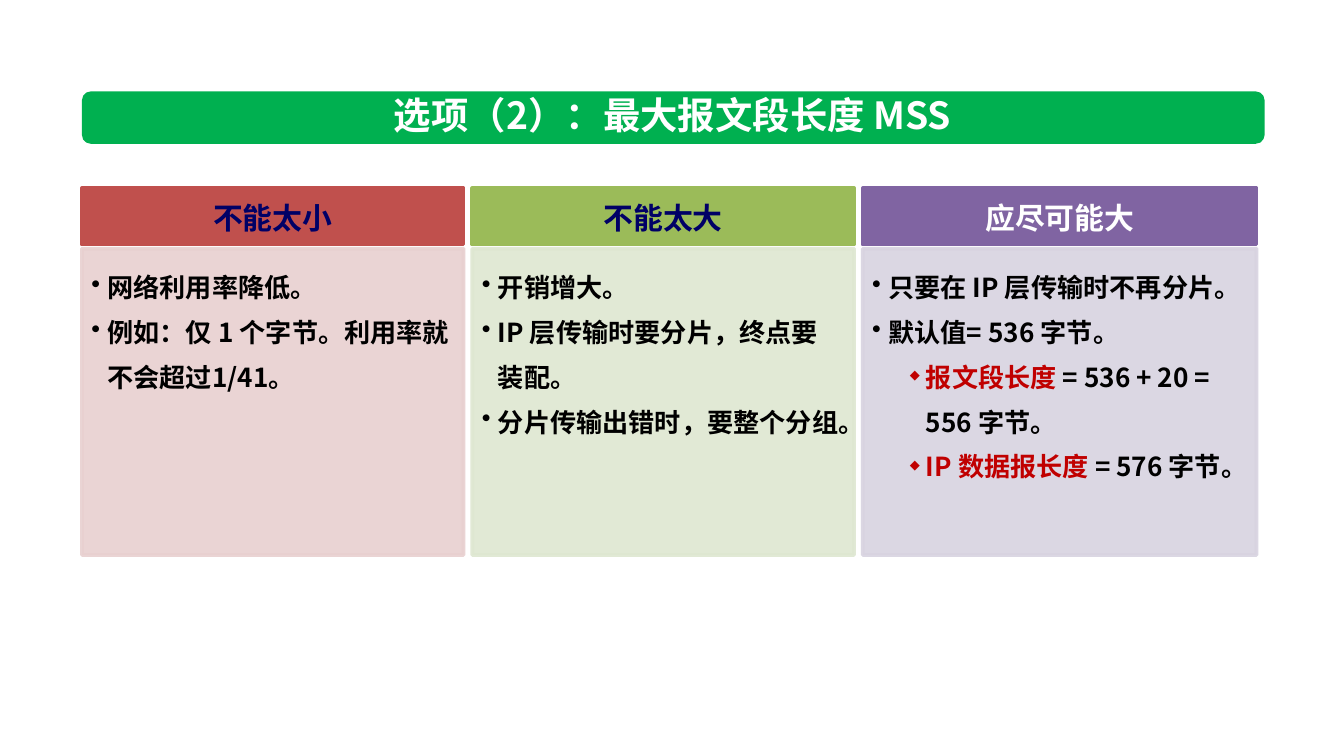
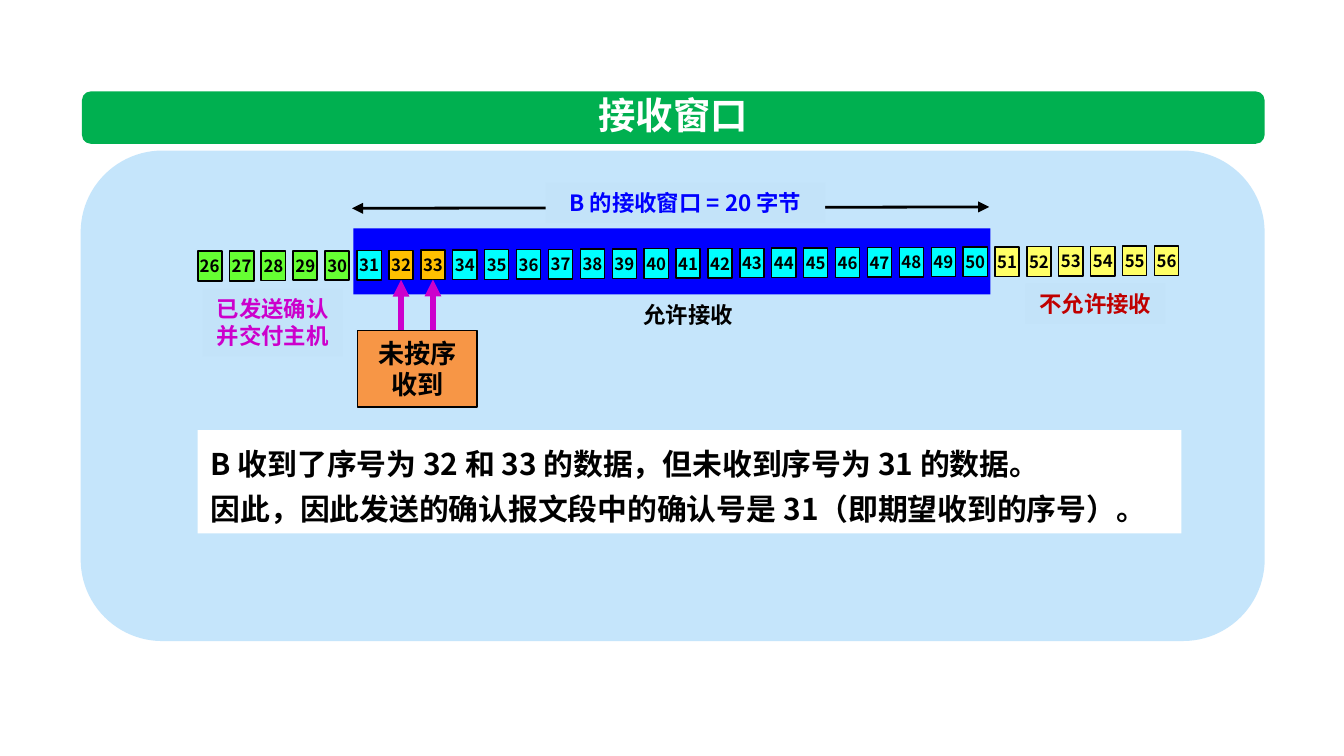
from lxml.etree import SubElement
from pptx import Presentation
from pptx.dml.color import RGBColor
from pptx.enum.shapes import MSO_CONNECTOR, MSO_SHAPE
from pptx.enum.text import MSO_ANCHOR, PP_ALIGN
from pptx.oxml.ns import qn
from pptx.util import Inches, Pt

FONT = "Noto Sans CJK SC"
WHITE = RGBColor(0xFF, 0xFF, 0xFF)
BLACK = RGBColor(0x00, 0x00, 0x00)
TITLE_GREEN = RGBColor(0x00, 0xB0, 0x50)
NAVY = RGBColor(0x00, 0x00, 0x66)
DARK_RED = RGBColor(0xC0, 0x00, 0x00)
BRICK = RGBColor(0xC0, 0x50, 0x4D)
PALE_BRICK = RGBColor(0xE8, 0xD0, 0xD0)
OLIVE = RGBColor(0x9B, 0xBB, 0x59)
PALE_OLIVE = RGBColor(0xDE, 0xE7, 0xD1)
PURPLE = RGBColor(0x80, 0x64, 0xA2)
PALE_PURPLE = RGBColor(0xD8, 0xD3, 0xE0)
SKY = RGBColor(0xC5, 0xE5, 0xFB)
LABEL_SKY = RGBColor(0xC3, 0xE3, 0xF9)
BLUE = RGBColor(0x00, 0x00, 0xFF)
MAGENTA = RGBColor(0xCC, 0x00, 0xCC)
GREEN = RGBColor(0x66, 0xFF, 0x33)
CYAN = RGBColor(0x00, 0xFF, 0xFF)
AMBER = RGBColor(0xFF, 0xC0, 0x00)
YELLOW = RGBColor(0xFF, 0xFF, 0x66)
ORANGE = RGBColor(0xF7, 0x96, 0x46)

deck = Presentation()
deck.slide_width = Inches(10)
deck.slide_height = Inches(5.625)
UNIT = deck.slide_width // 100  # square grid, 100 columns wide


def add_box(slide, frame, fill=None, line=None, line_width=0.75, kind=MSO_SHAPE.RECTANGLE):
    """Add a flat shape; frame is left, top, width, height in grid units."""
    box = slide.shapes.add_shape(kind, *(round(n * UNIT) for n in frame))
    box.shadow.inherit = False
    if fill is None:
        box.fill.background()
    else:
        box.fill.solid()
        box.fill.fore_color.rgb = fill
    if line is None:
        box.line.fill.background()
    else:
        box.line.color.rgb = line
        box.line.width = Pt(line_width)
    return box


def write(box, lines, size, color, align=PP_ALIGN.CENTER, anchor=MSO_ANCHOR.TOP,
          wrap=False, spacing=None):
    """Fill a box with bold lines; a line is a string or a list of (text, color) runs."""
    frame = box.text_frame
    frame.word_wrap = wrap
    frame.vertical_anchor = anchor
    for number, line in enumerate(lines):
        paragraph = frame.paragraphs[0] if number == 0 else frame.add_paragraph()
        paragraph.alignment = align
        if spacing:
            paragraph.line_spacing = Pt(spacing)
        for text, run_color in [(line, color)] if isinstance(line, str) else line:
            run = paragraph.add_run()
            run.text = text
            run.font.size = Pt(size)
            run.font.bold = True
            run.font.name = FONT
            run.font.color.rgb = run_color
            SubElement(run.font._element, qn("a:ea")).set("typeface", FONT)
    return frame


# Both slides, with the panel laid behind the second title band
option_slide, window_slide = (deck.slides.add_slide(deck.slide_layouts[6]) for _ in range(2))
add_box(window_slide, (6, 11.2, 88.1, 36.5), SKY, kind=MSO_SHAPE.ROUNDED_RECTANGLE)
for slide, title, center in [(option_slide, "选项（2）：最大报文段长度 MSS", 50.05),
                             (window_slide, "接收窗口", 50.1)]:
    band = add_box(slide, (6.1, 6.8, 88, 3.9), TITLE_GREEN, kind=MSO_SHAPE.ROUNDED_RECTANGLE)
    band.adjustments[0] = 0.17
    write(add_box(slide, (center - 22.25, 6.4, 44.5, 4.4)), [title], 20, WHITE)

# Slide 1: three columns, each a heading and a list of (level, line)
COLUMN_STEP = 29.05
columns = [
    ("不能太小", NAVY, BRICK, PALE_BRICK, 28.4,
     [(1, "网络利用率降低。"),
      (1, "例如：仅 1 个字节。利用率就不会超过1/41。")]),
    ("不能太大", NAVY, OLIVE, PALE_OLIVE, 28.4,
     [(1, "开销增大。"),
      (1, "IP 层传输时要分片，终点要装配。"),
      (1, "分片传输出错时，要整个分组。")]),
    ("应尽可能大", WHITE, PURPLE, PALE_PURPLE, 29.3,
     [(1, "只要在 IP 层传输时不再分片。"),
      (1, "默认值= 536 字节。"),
      (2, [("报文段长度 ", DARK_RED), ("= 536 + 20 = 556 字节。", BLACK)]),
      (2, [("IP 数据报长度 ", DARK_RED), ("= 576 字节。", BLACK)])]),
]
for index, (heading, heading_color, dark, pale, width, points) in enumerate(columns):
    left = 6.1 + index * COLUMN_STEP
    header = add_box(option_slide, (left, 14, width, 4.2), dark, dark, 2)
    write(header, [heading], 16, heading_color, anchor=MSO_ANCHOR.MIDDLE, wrap=True, spacing=20)
    body = add_box(option_slide, (left, 18.5, width, 22.8), pale, pale, 2)
    for tint in body._element.spPr.iter(qn("a:srgbClr")):
        SubElement(tint, qn("a:alpha")).set("val", "90000")
    frame = write(body, [line for _, line in points], 14, BLACK, PP_ALIGN.LEFT,
                  wrap=True, spacing=24)
    frame.margin_left = frame.margin_top = Inches(0.07)
    frame.margin_right = Inches(0.09)
    frame.margin_bottom = Inches(0.1)
    for paragraph, (level, _) in zip(frame.paragraphs, points):
        paragraph.level = level
        properties = paragraph._p.get_or_add_pPr()
        properties.set("marL", str(Inches(0.12 if level == 1 else 0.4)))
        properties.set("indent", str(-Inches(0.12)))
        if level == 2:
            SubElement(properties, qn("a:buSzPct")).set("val", "50000")
        SubElement(properties, qn("a:buChar")).set("char", "•" if level == 1 else "◆")

# Slide 2: the receive window over the numbered bytes
window_span = window_slide.shapes.add_connector(
    MSO_CONNECTOR.STRAIGHT, *(round(n * UNIT) for n in (26.2, 15.5, 73.6, 15.4)))
labels = [
    ((76.3, 21.1, 10.4, 3), LABEL_SKY, DARK_RED, ["不允许接收"]),
    ((15.1, 21.5, 10.4, 5), LABEL_SKY, MAGENTA, ["已发送确认", "并交付主机"]),
    ((40.6, 13.6, 20.8, 3), LABEL_SKY, BLUE, ["B 的接收窗口 = 20 字节"]),
    ((46.8, 21.9, 8.8, 3), None, BLACK, ["允许接收"]),
]
for place, fill, color, lines in labels:
    write(add_box(window_slide, place, fill), lines, 12, color)
add_box(window_slide, (26.3, 17, 47.4, 4.9), BLUE)

FIRST_BYTE, LAST_BYTE = 26, 56
BYTE_STEP = (85.9 - 14.7) / (LAST_BYTE - FIRST_BYTE)
BYTE_RISE = 0.4 / (LAST_BYTE - FIRST_BYTE)
out_of_order = {}
for number in range(FIRST_BYTE, LAST_BYTE + 1):
    index = number - FIRST_BYTE
    if number <= 30:
        fill = GREEN
    elif number in (32, 33):
        fill = AMBER
    else:
        fill = CYAN if number <= 50 else YELLOW
    byte = add_box(window_slide, (14.7 + index * BYTE_STEP, 18.7 - index * BYTE_RISE, 1.8, 2.2),
                   fill, BLACK, 1 if number <= 30 else 0.75)
    write(byte, [str(number)], 9, BLACK, anchor=MSO_ANCHOR.MIDDLE)
    if fill == AMBER:
        out_of_order[number] = byte

arrows = [(window_span, BLACK, 1.5, ("a:headEnd", "a:tailEnd"))]
for byte in out_of_order.values():
    middle = byte.left + byte.width // 2
    pointer = window_slide.shapes.add_connector(
        MSO_CONNECTOR.STRAIGHT, middle, round(26.4 * UNIT), middle, byte.top + byte.height)
    pointer.end_connect(byte, 2)
    arrows.append((pointer, MAGENTA, 3, ("a:tailEnd",)))
for arrow, color, width, ends in arrows:
    arrow.line.color.rgb = color
    arrow.line.width = Pt(width)
    for end in ends:
        SubElement(arrow.line._get_or_add_ln(), qn(end)).set("type", "triangle")
    SubElement(arrow._element.spPr, qn("a:effectLst"))

early_arrivals = add_box(window_slide, (26.6, 24.6, 8.9, 5.7), ORANGE, BLACK)
write(early_arrivals, ["未按序收到"], 14, BLACK, wrap=True)

conclusion = add_box(window_slide, (14.7, 32, 73.2, 7.7), WHITE)
write(conclusion, ["B 收到了序号为 32 和 33 的数据，但未收到序号为 31 的数据。",
                   "因此，因此发送的确认报文段中的确认号是 31（即期望收到的序号）。"],
      16, BLACK, PP_ALIGN.LEFT, wrap=True, spacing=24)

deck.save("out.pptx")
